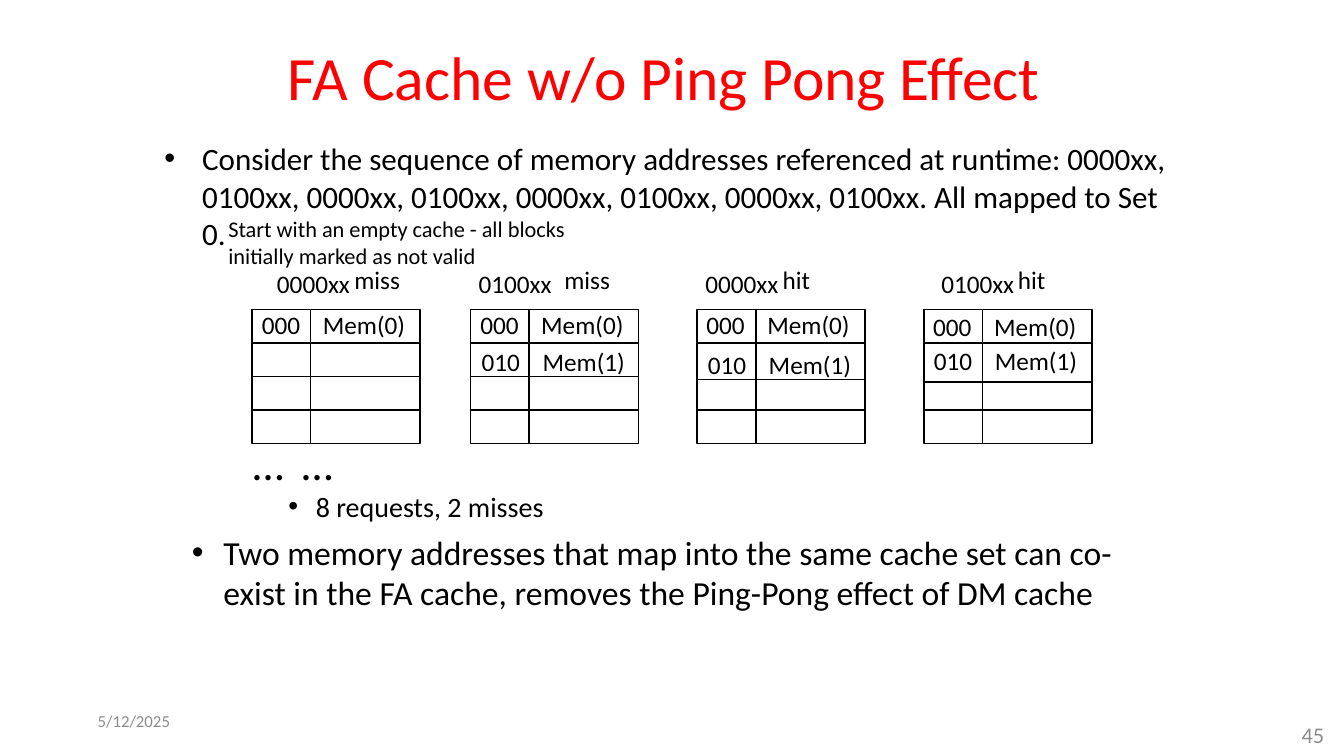
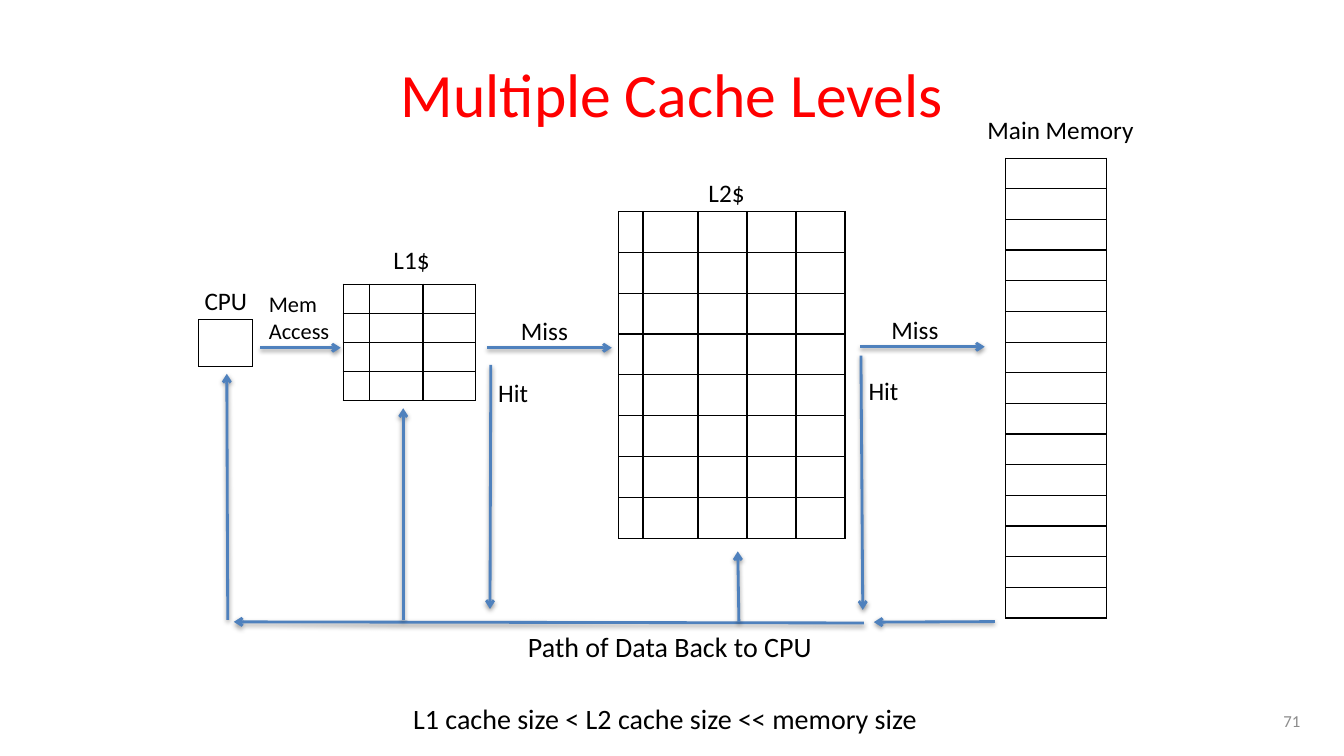
from lxml import etree
from pptx import Presentation
from pptx.dml.color import RGBColor
from pptx.enum import shapes, text
from pptx.oxml.ns import qn
from pptx.util import Pt

BLACK = RGBColor(0x00, 0x00, 0x00)
RED = RGBColor(0xFF, 0x00, 0x00)
GRAY = RGBColor(0x8C, 0x8C, 0x8C)
BLUE = RGBColor(0x4F, 0x81, 0xBD)
FONT = "Calibri"
LEFT, CENTER, RIGHT = text.PP_ALIGN.LEFT, text.PP_ALIGN.CENTER, text.PP_ALIGN.RIGHT
MIDDLE = text.MSO_ANCHOR.MIDDLE
STRAIGHT = shapes.MSO_CONNECTOR.STRAIGHT


def add_text(page, words, left, top, width, height, size=18, color=BLACK,
             align=LEFT, anchor=text.MSO_ANCHOR.TOP, bullet=None, tab=None):
    box = page.shapes.add_textbox(Pt(left), Pt(top), Pt(width), Pt(height))
    frame = box.text_frame
    frame.word_wrap = True
    frame.vertical_anchor = anchor
    frame.text = words
    for para in frame.paragraphs:
        props = para._p.get_or_add_pPr()
        if bullet:
            margin, hanging = bullet
            props.set("marL", str(Pt(margin)))
            props.set("indent", str(Pt(-hanging)))
            etree.SubElement(props, qn("a:buFont"), typeface="Arial")
            etree.SubElement(props, qn("a:buChar"), char="•")
        if tab:
            stops = etree.SubElement(props, qn("a:tabLst"))
            etree.SubElement(stops, qn("a:tab"), pos=str(Pt(tab)), algn="l")
        para.alignment = align
        para.font.name = FONT
        para.font.size = Pt(size)
        para.font.color.rgb = color
    return frame


def add_grid(page, left, top, widths, heights):
    frame = page.shapes.add_table(len(heights), len(widths), Pt(left), Pt(top),
                                  Pt(sum(widths)), Pt(sum(heights)))
    table = frame.table
    table.first_row = table.horz_banding = False
    for column, width in zip(table.columns, widths):
        column.width = Pt(width)
    for row, height in zip(table.rows, heights):
        row.height = Pt(height)
    for cell in table.iter_cells():
        cell.margin_top = cell.margin_bottom = 0
        props = cell._tc.get_or_add_tcPr()
        for side in ("lnL", "lnR", "lnT", "lnB"):
            border = etree.SubElement(props, qn(f"a:{side}"), w=str(Pt(1)))
            fill = etree.SubElement(border, qn("a:solidFill"))
            etree.SubElement(fill, qn("a:srgbClr"), val=str(BLACK))
        cell.fill.background()
        para = cell.text_frame.paragraphs[0]
        etree.SubElement(para._p, qn("a:endParaRPr"), sz="800")


deck = Presentation()
deck.slide_width, deck.slide_height = Pt(960), Pt(540)

pages = []
for heading, left, top, width in (
    ("FA Cache w/o Ping Pong Effect", 150.5, 9.5, 648),
    ("Multiple Cache Levels", 48, 21.6, 864),
):
    page = deck.slides.add_slide(deck.slide_layouts[5])
    title = page.shapes.title
    title.left, title.top, title.width, title.height = Pt(left), Pt(top), Pt(width), Pt(90)
    title.text_frame.text = heading
    title.text_frame.vertical_anchor = MIDDLE
    para = title.text_frame.paragraphs[0]
    para.alignment = CENTER
    para.font.name = FONT
    para.font.size = Pt(44)
    para.font.color.rgb = RED
    pages.append(page)
ping_pong, levels = pages

for page, words, left, top, width, size, align in (
    (ping_pong, "5/12/2025", 62.6, 500.4, 168, 12, LEFT),
    (ping_pong, "45", 905, 510.5, 48, 16, RIGHT),
    (levels, "71", 712, 500.4, 224, 12, RIGHT),
):
    add_text(page, words, left, top, width, 29, size, GRAY, align, MIDDLE)

for words, left, top, width, height, size, bullet in (
    ("Consider the sequence of memory addresses referenced at runtime: 0000xx, 0100xx, "
     "0000xx, 0100xx, 0000xx, 0100xx, 0000xx, 0100xx. All mapped to Set 0.",
     110.3, 96.2, 734, 79, 22.2, (27, 27)),
    ("8 requests, 2 misses", 160, 346, 642, 30, 20, (58.5, 19.5)),
    ("Two memory addresses that map into the same cache set can co-exist in the FA cache, "
     "removes the Ping-Pong effect of DM cache", 130, 376.3, 700, 66, 24, (22.5, 22.5)),
):
    add_text(ping_pong, words, left, top, width, height, size, bullet=bullet)

add_text(ping_pong, "Start with an empty cache - all blocks initially marked as not valid",
         156, 150, 270, 46, 16)

cache_top, row_height = 221, 24
tag_width, data_width = 42, 78
for left, address, address_left, outcome, outcome_left, second_row, entries in (
    (180, "0000xx", 190.8, "miss", 246, 24, [("000\tMem(0)", 180, 217.4)]),
    (336, "0100xx", 334.8, "miss", 396, 24,
     [("000\tMem(0)", 336, 217.4), ("010\tMem(1)", 337, 244)]),
    (498, "0000xx", 496.8, "hit", 552, 26,
     [("000\tMem(0)", 497.5, 217.4), ("010\tMem(1)", 498.5, 245.8)]),
    (660, "0100xx", 665.3, "hit", 720, 28,
     [("000\tMem(0)", 659.5, 218.8), ("010\tMem(1)", 660, 243.2)]),
):
    for cell_left, width in ((left, tag_width), (left + tag_width, data_width)):
        block = ping_pong.shapes.add_shape(shapes.MSO_SHAPE.RECTANGLE, Pt(cell_left),
                                           Pt(cache_top), Pt(width), Pt(4 * row_height))
        block.shadow.inherit = False
        block.fill.background()
        block.line.color.rgb = BLACK
        block.line.width = Pt(1)
        for offset in (row_height, row_height + second_row, 3 * row_height):
            divider = ping_pong.shapes.add_connector(
                STRAIGHT, Pt(cell_left), Pt(cache_top + offset),
                Pt(cell_left + width), Pt(cache_top + offset))
            divider.line.color.rgb = BLACK
            divider.line.width = Pt(1)
            etree.SubElement(divider._element.spPr, qn("a:effectLst"))
    add_text(ping_pong, address, address_left, 188, 67, 29)
    add_text(ping_pong, outcome, outcome_left, 185, 48, 29)
    for entry, entry_left, entry_top in entries:
        add_text(ping_pong, entry, entry_left, entry_top, 120, 29, tab=43.5)

for left in (173.5, 208.5):
    add_text(ping_pong, "…", left, 308, 40, 46, 32)

for left, top, widths, heights in (
    (142, 228.3, [38.6], [33.6]),
    (245.2, 203, [19, 38, 37.5], [20.75] * 4),
    (442, 151, [17, 39.4] + [35] * 3, [29.2] * 8),
    (718.5, 113, [72], [21.9] * 5),
    (718.5, 222.5, [72], [21.9] * 5),
    (718.5, 332, [72], [21.9] * 5),
):
    add_grid(levels, left, top, widths, heights)

for words, left, top, width, height, size in (
    ("CPU", 139, 200, 54, 29, 18),
    ("Mem\nAccess", 185, 204, 69, 46, 16),
    ("L1$", 274, 171, 45, 29, 18),
    ("L2$", 499, 123, 45, 29, 18),
    ("Main Memory", 698.3, 78, 128, 29, 18),
    ("Path of Data Back to CPU", 370, 446, 270, 32, 20),
    ("L1 cache size < L2 cache size << memory size", 288, 497.5, 444, 32, 20),
):
    add_text(levels, words, left, top, width, height, size)

for left, top in ((348.7, 222), (613.3, 221)):
    miss, hit = add_text(levels, "Miss\nHit", left, top, 65, 73).paragraphs
    miss._p.get_or_add_pPr().set("indent", str(Pt(16.3)))
    hit.space_before = Pt(22)

for start_x, start_y, end_x, end_y in (
    (185.8, 248.4, 243.4, 248.4),
    (347.8, 248.4, 437, 248.4),
    (614.2, 247.7, 703.4, 247.7),
    (350.6, 260.6, 350, 435),
    (615, 254, 616.3, 435.6),
    (710.6, 444, 624.2, 444.4),
    (617, 445, 167, 444.2),
    (162.7, 442.8, 162, 267),
    (288, 442.8, 288, 291.6),
    (527.8, 444.4, 527, 393.8),
):
    arrow = levels.shapes.add_connector(STRAIGHT, Pt(start_x), Pt(start_y),
                                        Pt(end_x), Pt(end_y))
    arrow.line.color.rgb = BLUE
    arrow.line.width = Pt(2)
    etree.SubElement(arrow.line._get_or_add_ln(), qn("a:tailEnd"), type="arrow")

deck.save("out.pptx")
